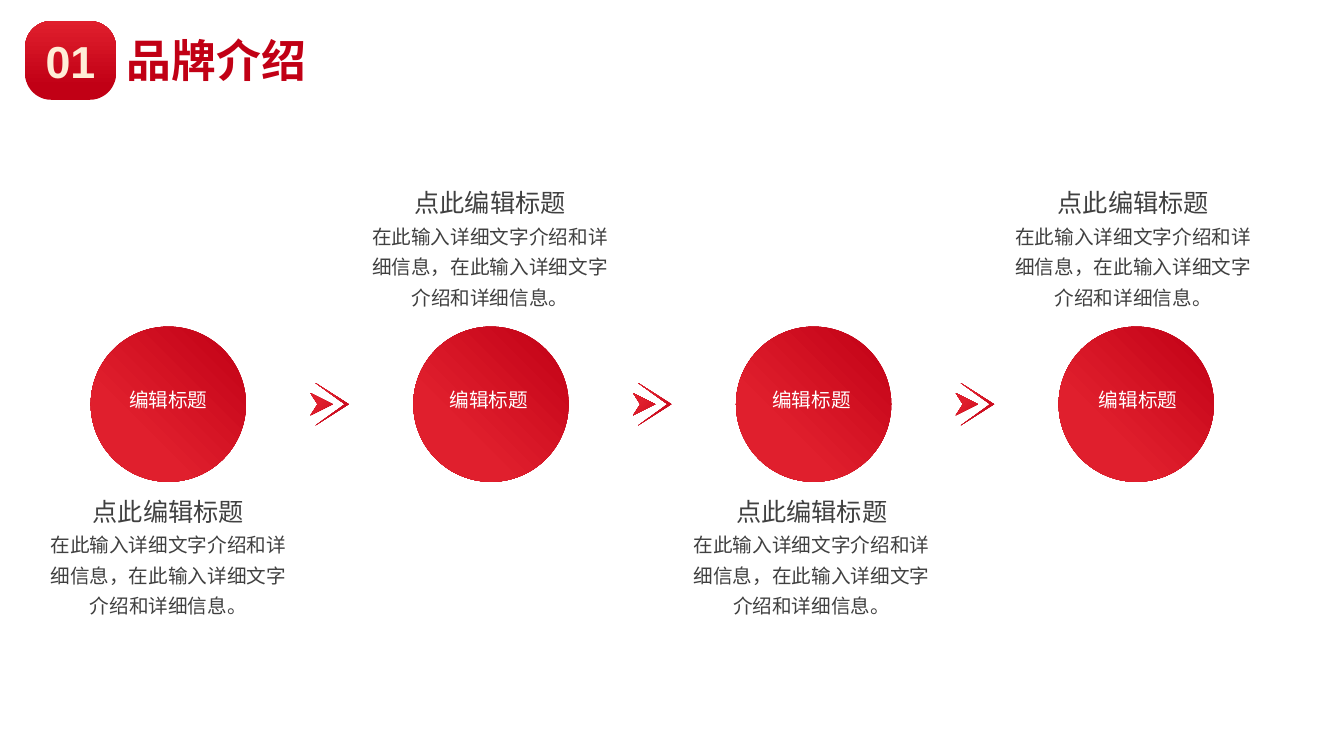
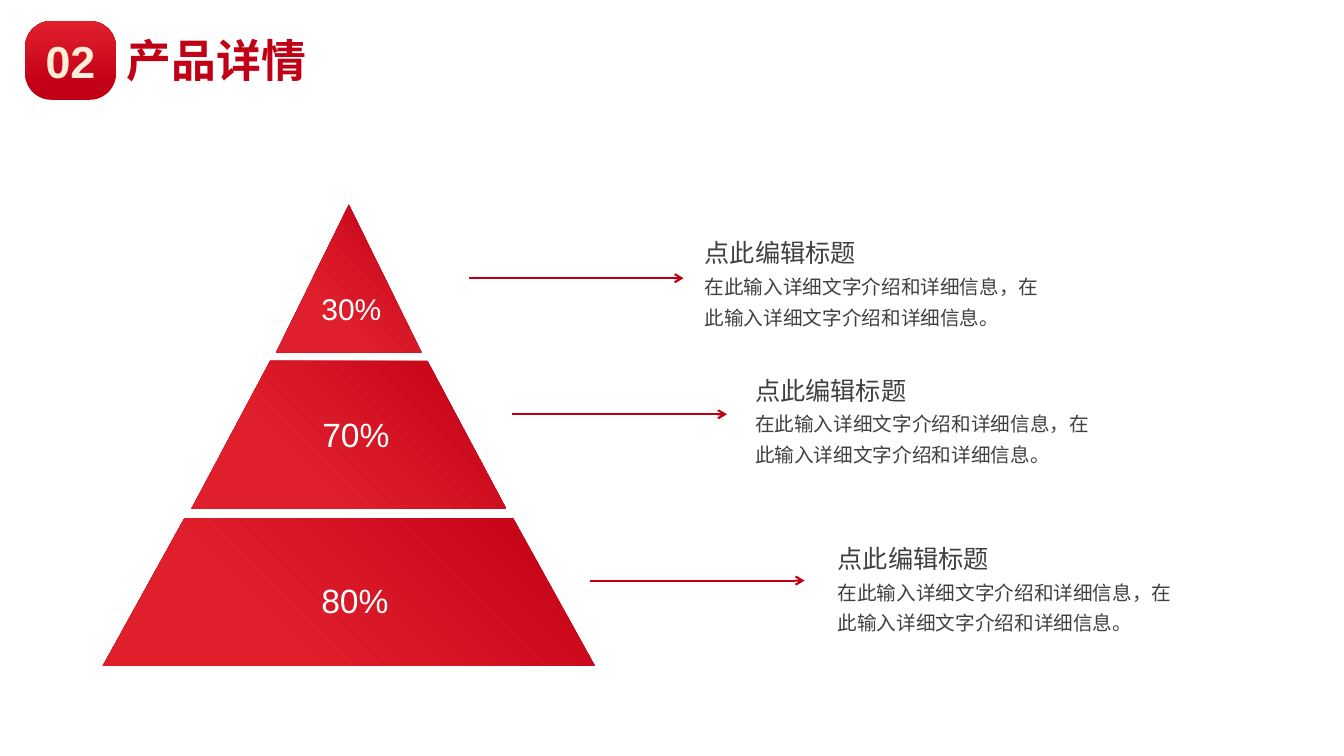
from lxml import etree
from pptx import Presentation
from pptx.dml.color import RGBColor
from pptx.enum.shapes import MSO_CONNECTOR, MSO_SHAPE
from pptx.enum.text import MSO_ANCHOR, MSO_AUTO_SIZE, PP_ALIGN
from pptx.oxml.ns import qn
from pptx.util import Inches, Pt

COLORS = {
    "dark_red": "C10015",
    "red": "E01F2D",
    "cream": "FFEDD7",
    "white": "FFFFFF",
    "text": "404040",
}
FONT = "Arial"

# Gradient stops as (position, colour), with a counter-clockwise angle
DIAGONAL = {"stops": ((0, "dark_red"), (0.69, "red")), "angle": 225}
CHEVRON = {**DIAGONAL, "angle": 135}
BADGE = {"stops": ((0.17, "dark_red"), (1, "red")), "angle": 90}

# Text styles: font attributes plus a colour name
TITLE = ({"size": Pt(32), "bold": True}, "dark_red")
NUMBER = ({"size": Pt(32), "bold": True}, "cream")
HEADING = ({"size": Pt(18)}, "text")
BODY = ({"size": Pt(14)}, "text")
LABEL = ({"size": Pt(14)}, "white")

CAPTION_HEADING = "点此编辑标题"
CAPTION_BODY = "在此输入详细文字介绍和详细信息，在此输入详细文字介绍和详细信息。"


def color(name):
    return RGBColor.from_string(COLORS[name])


def set_attributes(target, values):
    for name, value in values.items():
        setattr(target, name, value)


def paint(shape, gradient):
    """Give a shape a two-stop gradient without outline or shadow."""
    shape.shadow.inherit = False
    shape.line.fill.background()
    shape.fill.gradient()
    shape.fill.gradient_angle = gradient["angle"]
    for stop, (position, name) in zip(shape.fill.gradient_stops, gradient["stops"]):
        stop.position = position
        stop.color.rgb = color(name)


def write(paragraph, text, style, **layout):
    font_values, color_name = style
    set_attributes(paragraph, layout)
    run = paragraph.add_run()
    run.text = text
    set_attributes(run.font, {"name": FONT, **font_values})
    run.font.color.rgb = color(color_name)


def add_text(slide, box, lines, align=PP_ALIGN.LEFT, spacing=None, margins=None,
             anchor=MSO_ANCHOR.TOP):
    """Add a text box with one paragraph for each (text, style) pair."""
    frame = slide.shapes.add_textbox(*map(Inches, box)).text_frame
    set_attributes(frame, {
        "word_wrap": True,
        "auto_size": MSO_AUTO_SIZE.SHAPE_TO_FIT_TEXT,
        "vertical_anchor": anchor,
    })
    if margins is not None:
        sides, ends = map(Inches, margins)
        set_attributes(frame, {"margin_left": sides, "margin_right": sides,
                               "margin_top": ends, "margin_bottom": ends})
    for index, (text, style) in enumerate(lines):
        paragraph = frame.add_paragraph() if index else frame.paragraphs[0]
        write(paragraph, text, style, alignment=align, line_spacing=spacing)


def add_caption(slide, box, align=PP_ALIGN.LEFT):
    lines = ((CAPTION_HEADING, HEADING), (CAPTION_BODY, BODY))
    add_text(slide, box, lines, align, spacing=1.3)


def add_outline(slide, contours, gradient):
    """Draw closed contours, given in inches, as one freeform."""
    contours = [[(Inches(x), Inches(y)) for x, y in points] for points in contours]
    builder = slide.shapes.build_freeform(*contours[0][0])
    for index, (start, *others) in enumerate(contours):
        if index:
            builder.move_to(*start)
        builder.add_line_segments(others, close=True)
    paint(builder.convert_to_shape(), gradient)


def add_chevron(slide, left, middle):
    head = ((0.05, -0.21), (0.38, 0), (0.05, 0.21), (0.34, 0))
    dart = ((0, -0.11), (0.07, 0), (0, 0.11), (0.22, 0))
    contours = [[(left + x, middle + y) for x, y in points] for points in (head, dart)]
    add_outline(slide, contours, CHEVRON)


def add_arrow(slide, left, top, length):
    ends = map(Inches, (left, top, left + length, top))
    connector = slide.shapes.add_connector(MSO_CONNECTOR.STRAIGHT, *ends)
    connector.line.width = Pt(1.5)
    connector.line.color.rgb = color("dark_red")
    line = connector.line._get_or_add_ln()
    etree.SubElement(line, qn("a:tailEnd"), type="arrow")
    etree.SubElement(connector._element.spPr, qn("a:effectLst"))


def add_section_slide(presentation, number, title):
    """Add a slide with its numbered badge and title."""
    slide = presentation.slides.add_slide(presentation.slide_layouts[6])
    badge = slide.shapes.add_shape(MSO_SHAPE.ROUNDED_RECTANGLE,
                                   *map(Inches, (0.25, 0.21, 0.9, 0.78)))
    badge.adjustments[0] = 0.33
    paint(badge, BADGE)
    badge.text_frame.vertical_anchor = MSO_ANCHOR.MIDDLE
    write(badge.text_frame.paragraphs[0], number, NUMBER, alignment=PP_ALIGN.CENTER)
    add_text(slide, (1.16, 0.28, 2.4, 0.64), [(title, TITLE)])
    return slide


def add_brand_slide(presentation):
    slide = add_section_slide(presentation, "01", "品牌介绍")
    pitch, diameter, circle_top = 3.2, 1.54, 3.24
    label_lefts = (0.94, 4.12, 7.32, 10.56)
    for index, label_left in enumerate(label_lefts):
        # Circle and its label
        circle = slide.shapes.add_shape(
            MSO_SHAPE.OVAL, Inches(0.9 + index * pitch), Inches(circle_top),
            Inches(diameter), Inches(diameter))
        paint(circle, DIAGONAL)
        add_text(slide, (label_left, 3.81, 1.46, 0.31), [("编辑标题", LABEL)],
                 PP_ALIGN.CENTER, margins=(0.07, 0.04))
        # Captions alternate below and above the circles
        caption_top = 1.72 if index % 2 else circle_top + diameter
        add_caption(slide, (0.36 + index * 3.19, caption_top, 2.62, 1.41),
                    PP_ALIGN.CENTER)
        # Chevron between neighbours
        if index:
            add_chevron(slide, 3.08 + (index - 1) * pitch, circle_top + diameter / 2)


def add_product_slide(presentation):
    slide = add_section_slide(presentation, "02", "产品详情")
    center, tier_height = 3.46, 1.465
    # Tier top, half widths at top and bottom; value, size and box;
    # arrow start; caption position
    tiers = (
        (2.03, 0, 0.72, "30%", 21.4, (3.12, 2.88, 0.73, 0.36), (4.65, 2.76), (6.89, 2.22)),
        (3.58, 0.78, 1.56, "70%", 24, (3.12, 4.11, 0.82, 0.4), (5.08, 4.11), (7.39, 3.58)),
        (5.14, 1.63, 2.44, "80%", 24, (3.11, 5.75, 0.82, 0.4), (5.85, 5.76), (8.21, 5.25)),
    )
    for top, upper, lower, value, size, value_box, arrow, caption in tiers:
        bottom = top + tier_height
        tier = ((center - lower, bottom), (center - upper, top),
                (center + upper, top), (center + lower, bottom))
        add_outline(slide, [tier], DIAGONAL)
        add_text(slide, value_box, [(value, ({"size": Pt(size)}, "white"))],
                 PP_ALIGN.CENTER, margins=(0, 0), anchor=MSO_ANCHOR.BOTTOM)
        add_arrow(slide, *arrow, length=2.13)
        add_caption(slide, (*caption, 3.65, 1.11))


def main():
    presentation = Presentation()
    presentation.slide_width = Inches(13.33)
    presentation.slide_height = Inches(7.5)
    add_brand_slide(presentation)
    add_product_slide(presentation)
    presentation.save("out.pptx")


if __name__ == "__main__":
    main()
